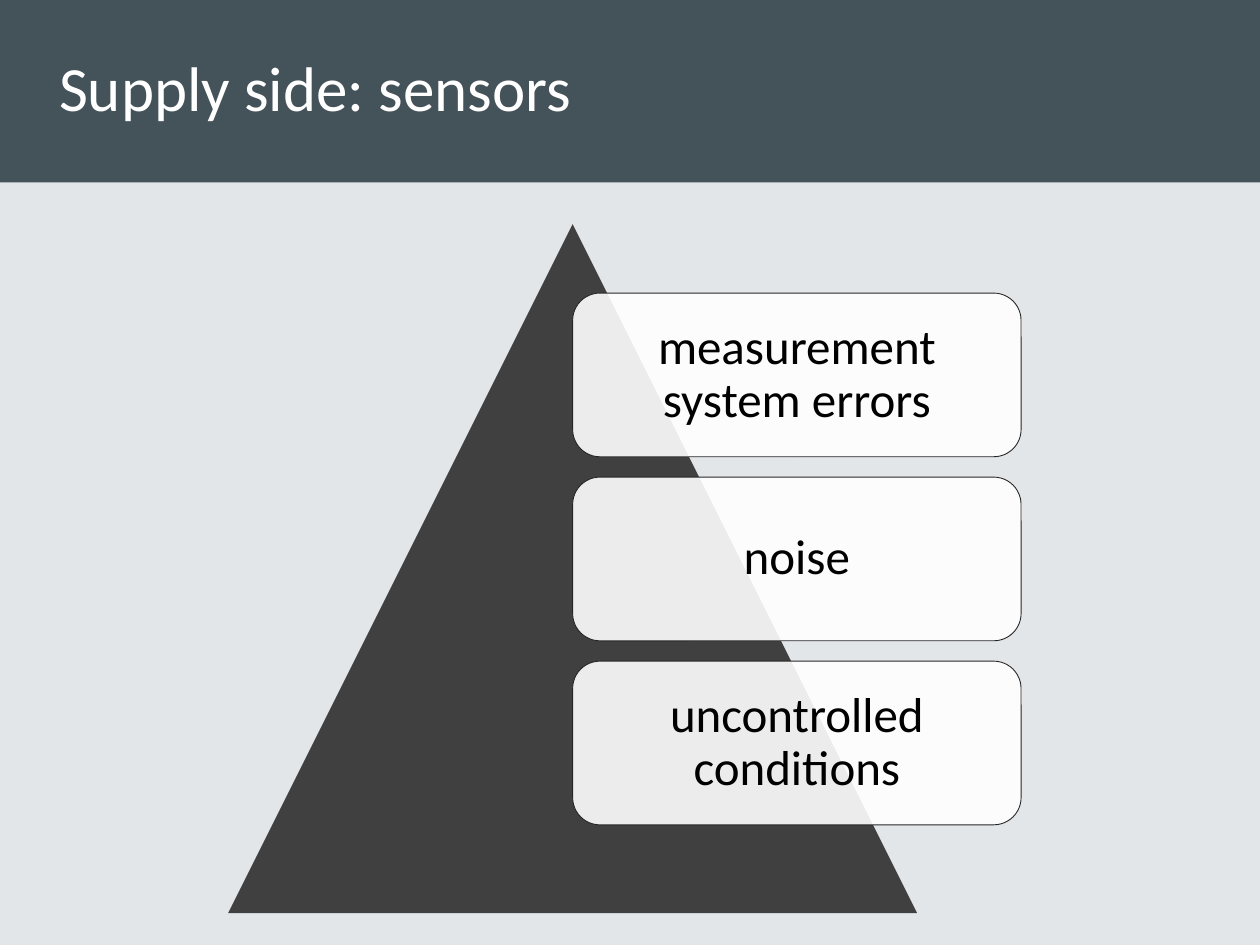
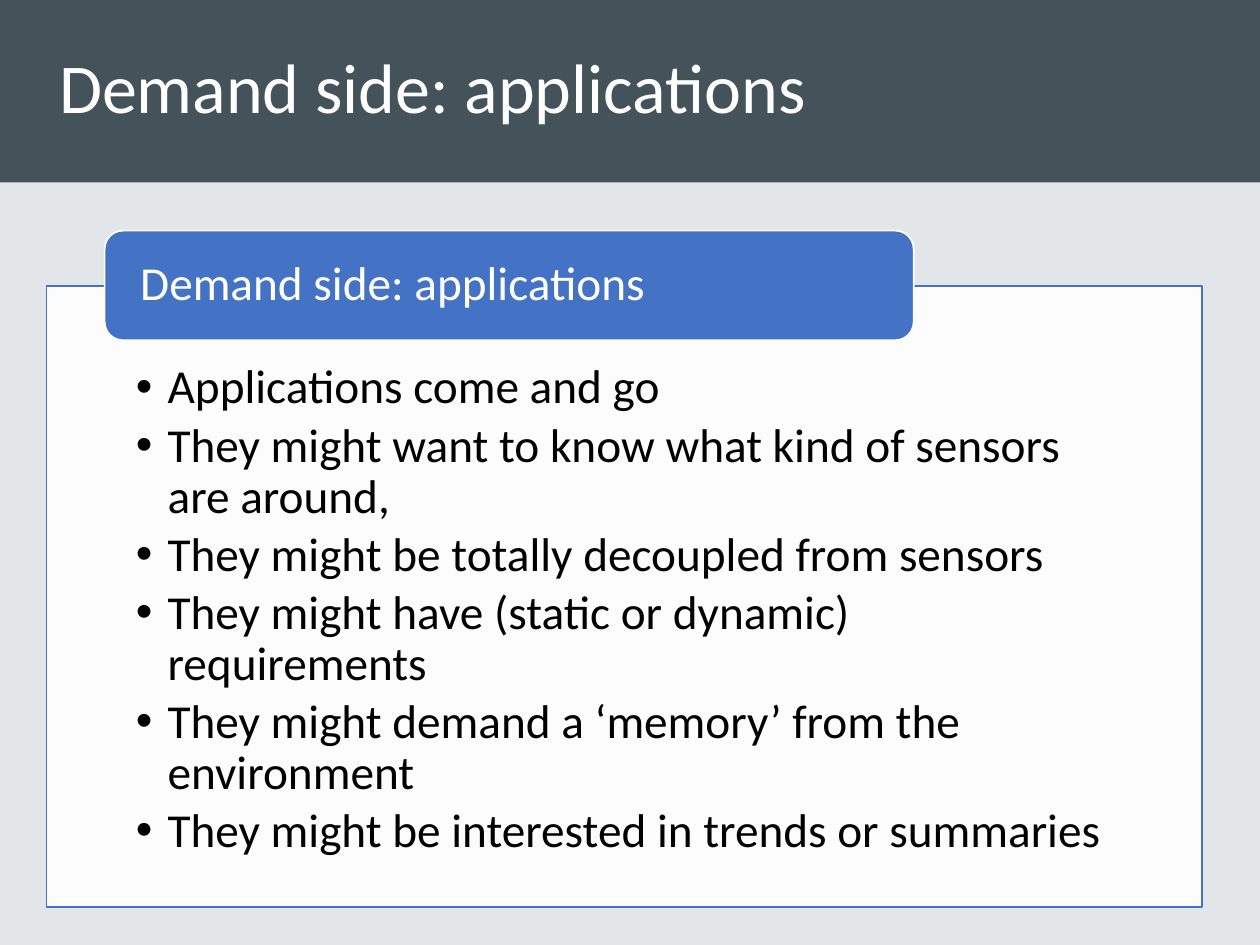
from lxml.etree import SubElement
from pptx import Presentation
from pptx.dml.color import RGBColor
from pptx.enum.shapes import MSO_SHAPE
from pptx.enum.text import MSO_ANCHOR, MSO_AUTO_SIZE, PP_ALIGN
from pptx.oxml.ns import qn
from pptx.util import Cm, Pt

SENSORS_TITLE = "Supply side: sensors"
SENSOR_ISSUES = ["measurement system errors", "noise", "uncontrolled conditions"]
APPS_TITLE = "Demand side: applications"
APP_POINTS = [
    "Applications come and go",
    "They might want to know what kind of sensors are around,",
    "They might be totally decoupled from sensors",
    "They might have (static or dynamic) requirements",
    "They might demand a ‘memory’ from the environment",
    "They might be interested in trends or summaries",
]

COLORS = {
    "background": "E3E6E9",
    "band": "44525A",
    "pyramid": "404040",
    "outline": "262626",
    "accent": "4472C4",
    "white": "FFFFFF",
    "black": "000000",
}
FONT = "Calibri"
SLIDE_W, SLIDE_H, BAND_H = 25.4, 19.05, 3.68
MARGIN = 0.94
CONTENT_W = 23.29
PYRAMID = (4.6, 4.52, 13.89, 13.89)
ISSUE_W, ISSUE_H, ISSUE_PITCH = 9.04, 3.3, 3.71


def rgb(name):
    return RGBColor.from_string(COLORS[name])


def set_attrs(obj, values):
    for name, value in values.items():
        setattr(obj, name, value)


def add_box(slide, kind, place, fill, line=None, line_w=1, alpha=None):
    sp = slide.shapes.add_shape(kind, *map(Cm, place))
    sp.shadow.inherit = False
    sp.fill.solid()
    sp.fill.fore_color.rgb = rgb(fill)
    if alpha:
        color = sp._element.spPr.find(qn("a:solidFill"))[0]
        SubElement(color, qn("a:alpha"), val=str(alpha * 1000))
    if line:
        sp.line.color.rgb = rgb(line)
        sp.line.width = Pt(line_w)
    else:
        sp.line.fill.background()
    return sp


def write(sp, lines, size, color, insets, align=PP_ALIGN.LEFT,
          anchor=MSO_ANCHOR.MIDDLE, spacing=0.9, after=0, bullet_indent=None):
    tf = sp.text_frame
    sides = ("margin_left", "margin_top", "margin_right", "margin_bottom")
    set_attrs(tf, dict(zip(sides, map(Cm, insets))))
    set_attrs(tf, {"word_wrap": True, "auto_size": MSO_AUTO_SIZE.NONE,
                   "vertical_anchor": anchor})
    for i, line in enumerate(lines):
        p = tf.add_paragraph() if i else tf.paragraphs[0]
        set_attrs(p, {"alignment": align, "line_spacing": spacing,
                      "space_before": Pt(0), "space_after": Pt(after)})
        r = p.add_run()
        r.text = line
        set_attrs(r.font, {"name": FONT, "size": Pt(size)})
        r.font.color.rgb = rgb(color)
        if bullet_indent:
            pPr = p._p.get_or_add_pPr()
            pPr.set("marL", str(Cm(bullet_indent)))
            pPr.set("indent", str(-Cm(bullet_indent)))
            SubElement(pPr, qn("a:buFont"), typeface="Arial")
            SubElement(pPr, qn("a:buChar"), char="•")


def add_titled_slide(prs, layout, title, size):
    s = prs.slides.add_slide(layout)
    place = map(Cm, (MARGIN, 0, CONTENT_W, BAND_H))
    set_attrs(s.shapes.title, dict(zip(("left", "top", "width", "height"), place)))
    write(s.shapes.title, [title], size, "white", (0.25, 0.13, 0.25, 0.13))
    return s


def add_sensors(s):
    left, top, width, height = PYRAMID
    add_box(s, MSO_SHAPE.ISOSCELES_TRIANGLE, PYRAMID, "pyramid")
    for i, issue in enumerate(SENSOR_ISSUES):
        place = (left + width / 2, top + height / 10 + i * ISSUE_PITCH, ISSUE_W, ISSUE_H)
        sp = add_box(s, MSO_SHAPE.ROUNDED_RECTANGLE, place, "white", "outline", 0.5, 90)
        write(sp, [issue], 28, "black", [0.3] * 4, PP_ALIGN.CENTER)


def add_applications(s):
    panel = add_box(s, MSO_SHAPE.RECTANGLE, (MARGIN, 5.77, CONTENT_W, 12.52),
                    "white", "accent", alpha=90)
    write(panel, APP_POINTS, 27, "black", (1.8, 1.55, 1.8, 0.53),
          anchor=MSO_ANCHOR.TOP, after=4, bullet_indent=0.64)
    tab = add_box(s, MSO_SHAPE.ROUNDED_RECTANGLE, (2.11, 4.65, 16.31, 2.21),
                  "accent", "white")
    write(tab, [APPS_TITLE], 27, "white", (0.61, 0, 0.61, 0))


def main():
    prs = Presentation()
    set_attrs(prs, {"slide_width": Cm(SLIDE_W), "slide_height": Cm(SLIDE_H)})
    bg = prs.slide_master.background.fill
    bg.solid()
    bg.fore_color.rgb = rgb("background")
    layout = prs.slide_layouts.get_by_name("Title Only")

    sensors = add_titled_slide(prs, layout, SENSORS_TITLE, 36)
    band = add_box(sensors, MSO_SHAPE.RECTANGLE, (0, 0, SLIDE_W, BAND_H), "band")
    layout.shapes._spTree.insert(2, band._element)
    add_sensors(sensors)

    add_applications(add_titled_slide(prs, layout, APPS_TITLE, 40))
    prs.save("out.pptx")


if __name__ == "__main__":
    main()
